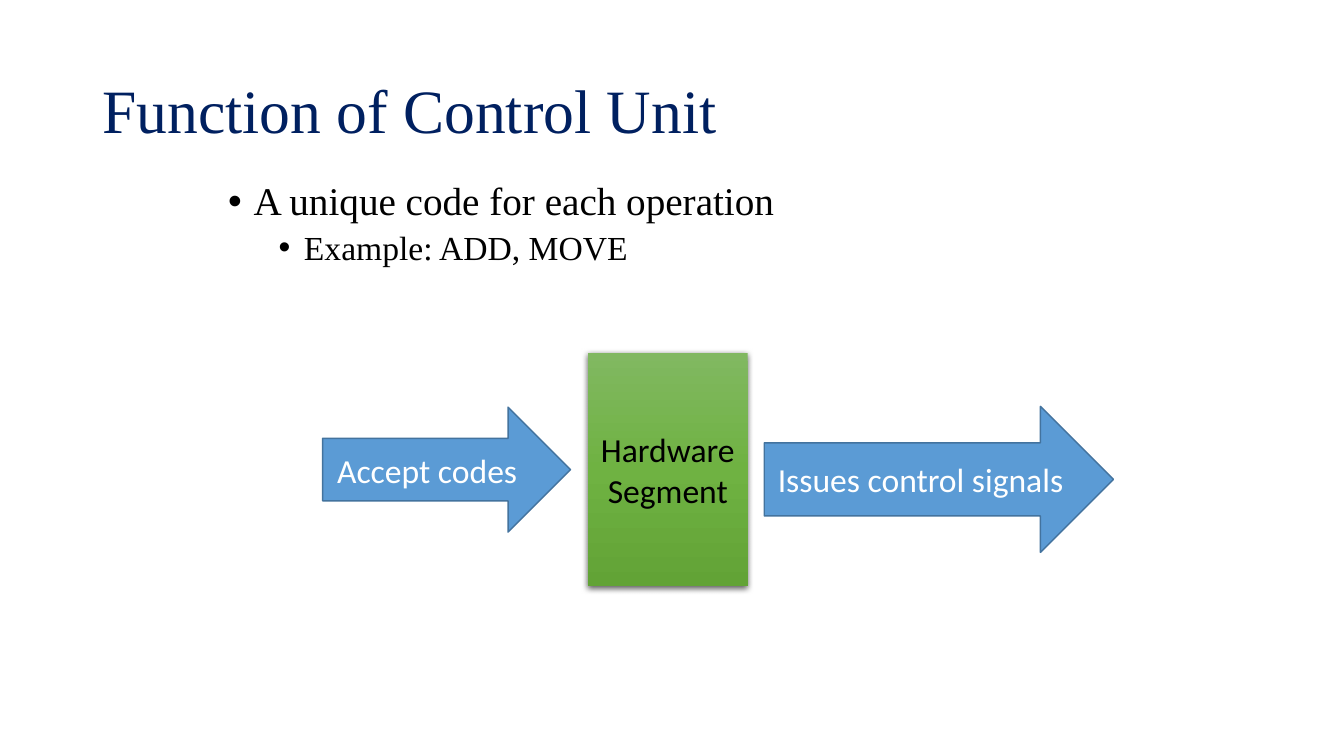
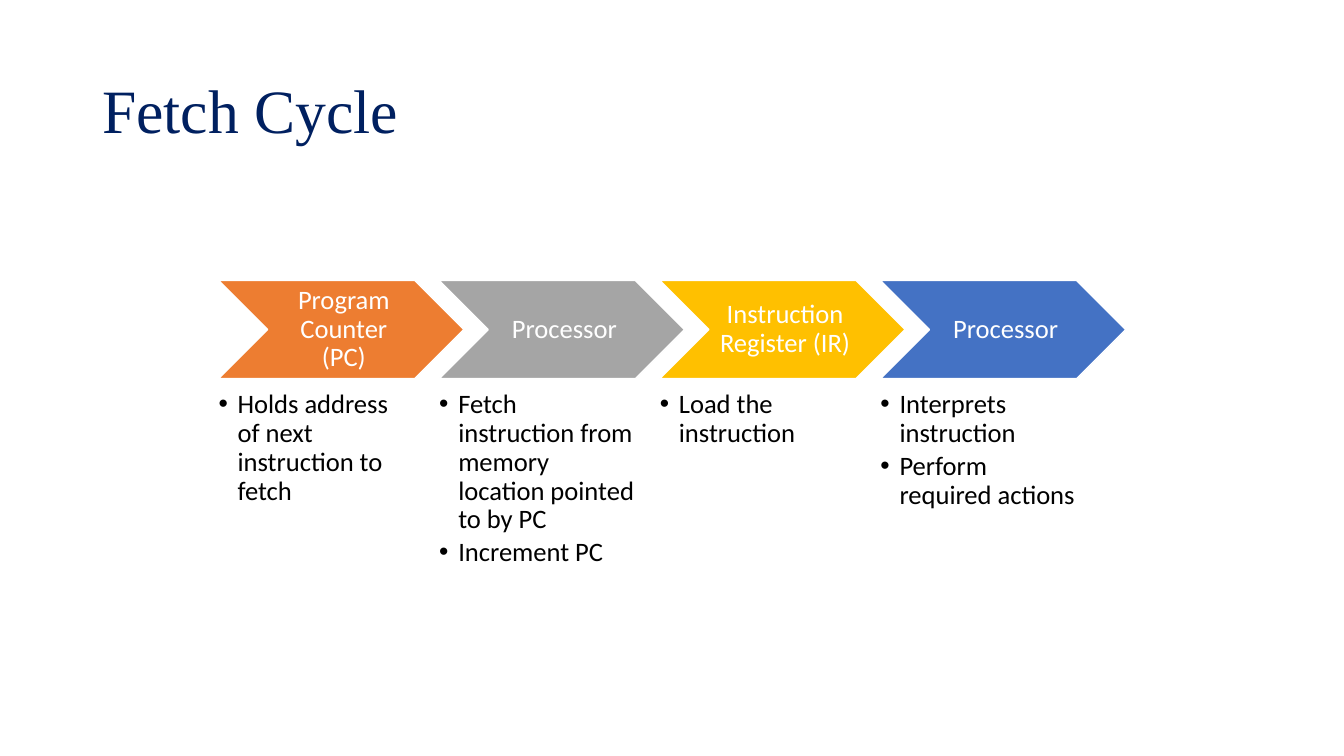
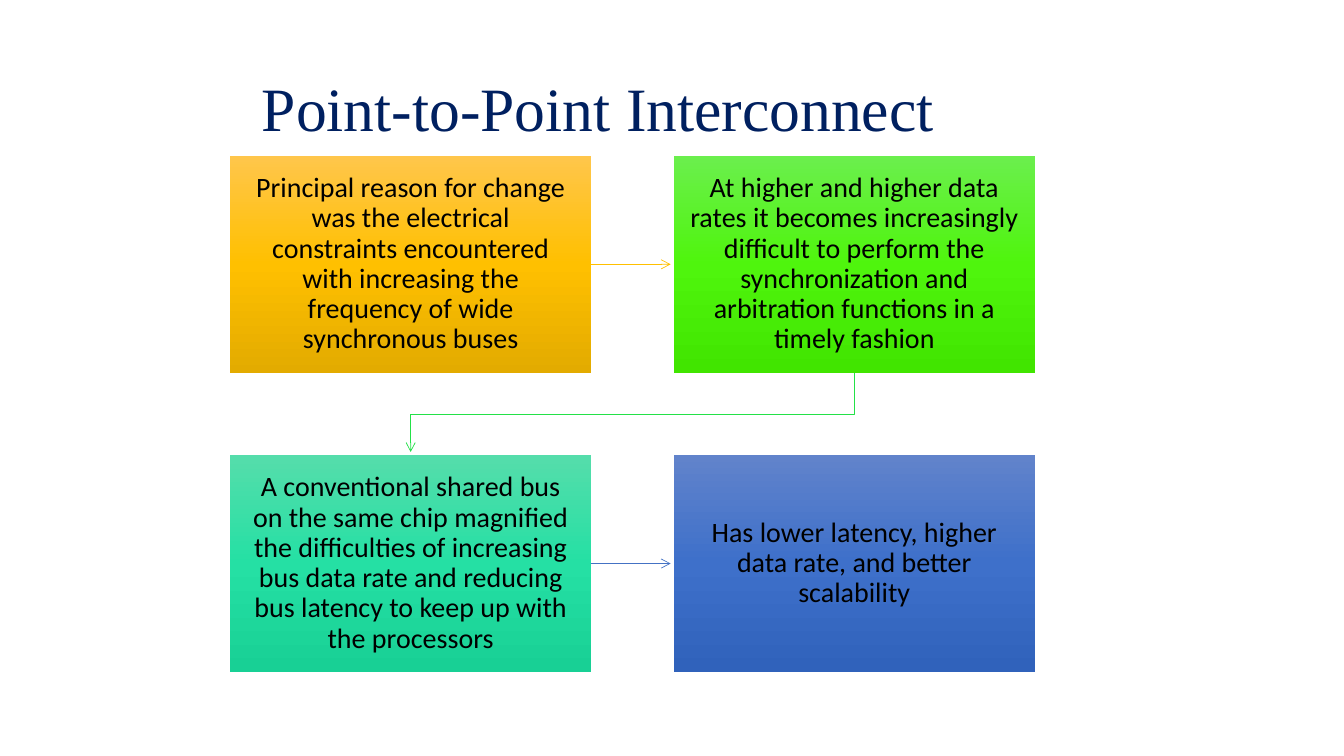
from copy import deepcopy
from dataclasses import dataclass
from typing import NamedTuple

from lxml.etree import SubElement
from pptx import Presentation
from pptx.dml.color import RGBColor
from pptx.enum.shapes import MSO_CONNECTOR as CONN, MSO_SHAPE as SHAPE
from pptx.enum.text import MSO_ANCHOR as ANCHOR, MSO_AUTO_SIZE as AUTO, PP_ALIGN as ALIGN
from pptx.oxml.ns import qn
from pptx.util import Cm, Pt


@dataclass(frozen=True)
class Theme:
    serif: str = "Times New Roman"
    sans: str = "Calibri"
    navy: str = "002060"
    black: str = "000000"
    white: str = "FFFFFF"
    arrow: str = "5B9BD5"
    arrow_edge: str = "43739E"
    green: tuple = ("81B861", "6FB242", "62A336")
    title: float = 44
    body: float = 28
    label: float = 24
    reason: float = 20
    step: float = 19
    tight: float = 0.9


class Box(NamedTuple):
    x: float
    y: float
    w: float
    h: float


class Step(NamedTuple):
    name: str
    color: str
    details: tuple


class Reason(NamedTuple):
    text: str
    stops: tuple


T = Theme()
TITLE_BOX = Box(2.33, 1.01, 29.21, 3.68)

STEPS = (
    Step("Program Counter (PC)", "ED7D31", ("Holds address of next instruction to fetch",)),
    Step("Processor", "A5A5A5",
         ("Fetch instruction from memory location pointed to by PC", "Increment PC")),
    Step("Instruction Register (IR)", "FFC000", ("Load the instruction",)),
    Step("Processor", "4472C4", ("Interprets instruction", "Perform required actions")),
)

REASONS = (
    Reason("Principal reason for change was the electrical constraints encountered "
           "with increasing the frequency of wide synchronous buses",
           ("FFC64B", "FFC000", "E3AB00")),
    Reason("At higher and higher data rates it becomes increasingly difficult to perform "
           "the synchronization and arbitration functions in a timely fashion",
           ("6BEF4D", "4FF50D", "41E500")),
    Reason("A conventional shared bus on the same chip magnified the difficulties of "
           "increasing bus data rate and reducing bus latency to keep up with the processors",
           ("55DDAB", "25E0A4", "18D095")),
    Reason("Has lower latency, higher data rate, and better scalability",
           ("6183CB", "3E70CA", "3062BB")),
)


def rgb(color: str) -> RGBColor:
    return RGBColor.from_string(color)


def cm(box: Box) -> tuple:
    return tuple(Cm(v) for v in box)


def write(tf, text: str, *, size: float, font: str = T.sans, color: str = T.black,
          align=ALIGN.LEFT, spacing: float = 1.0, before: float = 0, after: float = 0,
          level: int = 0, left: float = 0, hang: float = 0) -> None:
    p = tf.add_paragraph() if tf.text else tf.paragraphs[0]
    p.level = level
    if hang:
        pPr = p._p.get_or_add_pPr()
        pPr.set("marL", str(Cm(left)))
        pPr.set("indent", str(-Cm(hang)))
        SubElement(pPr, qn("a:buFont")).set("typeface", "Arial")
        SubElement(pPr, qn("a:buChar")).set("char", "•")
    p.alignment = align
    p.line_spacing = spacing
    p.space_before, p.space_after = Pt(before), Pt(after)
    r = p.add_run()
    r.text = text
    r.font.name, r.font.size = font, Pt(size)
    r.font.color.rgb = rgb(color)


def frame(sp, anchor, insets: tuple = (0.25, 0.13, 0.25, 0.13)):
    tf = sp.text_frame
    tf.word_wrap = True
    tf.auto_size = AUTO.NONE
    tf.vertical_anchor = anchor
    tf.margin_left, tf.margin_top, tf.margin_right, tf.margin_bottom = map(Cm, insets)
    return tf


def place(sp, box: Box) -> None:
    sp.left, sp.top, sp.width, sp.height = cm(box)


def titled_slide(prs, text: str, layout: int = 5, box: Box = TITLE_BOX):
    s = prs.slides.add_slide(prs.slide_layouts[layout])
    place(s.shapes.title, box)
    write(frame(s.shapes.title, ANCHOR.MIDDLE), text, size=T.title, font=T.serif,
          color=T.navy, spacing=T.tight)
    return s


def add_block(s, kind, box: Box, fill, line: str | None = None):
    sp = s.shapes.add_shape(kind, *cm(box))
    sp.shadow.inherit = False
    if isinstance(fill, tuple):
        sp.fill.gradient()
        sp.fill.gradient_angle = 270
        stops = sp._element.spPr.find(".//" + qn("a:gsLst"))
        stops.insert(1, deepcopy(stops[0]))
        for i, (stop, color) in enumerate(zip(sp.fill.gradient_stops, fill)):
            stop.position = i / 2
            stop.color.rgb = rgb(color)
    else:
        sp.fill.solid()
        sp.fill.fore_color.rgb = rgb(fill)
    if line:
        sp.line.color.rgb = rgb(line)
        sp.line.width = Pt(1)
    else:
        sp.line.fill.background()
    return sp


def drop_shadow(sp) -> None:
    effects = sp._element.spPr.find(qn("a:effectLst"))
    shadow = SubElement(effects, qn("a:outerShdw"), blurRad=str(Pt(4.5)), dist=str(Pt(1.5)),
                        dir="5400000", algn="ctr", rotWithShape="0")
    color = SubElement(shadow, qn("a:srgbClr"), val=T.black)
    SubElement(color, qn("a:alpha"), val="63000")


def arrow_line(sp, color: str) -> None:
    sp.line.color.rgb = rgb(color)
    sp.line.width = Pt(0.5)
    spPr = sp._element.spPr
    SubElement(spPr.find(qn("a:ln")), qn("a:tailEnd")).set("type", "arrow")
    if spPr.find(qn("a:effectLst")) is None:
        SubElement(spPr, qn("a:effectLst"))


def control_unit(prs) -> None:
    s = titled_slide(prs, "Function of Control Unit", layout=1)
    body = s.placeholders[1]
    place(body, Box(5.5, 4.45, 22.86, 3.39))
    tf = frame(body, ANCHOR.TOP)
    write(tf, "A unique code for each operation", size=T.body, font=T.serif,
          spacing=T.tight, left=0.64, hang=0.64)
    write(tf, "Example: ADD, MOVE", size=T.label, font=T.serif, spacing=T.tight,
          before=5, level=1, left=1.91, hang=0.64)

    hardware = add_block(s, SHAPE.RECTANGLE, Box(14.82, 8.89, 4.02, 5.89), T.green)
    drop_shadow(hardware)
    write(frame(hardware, ANCHOR.MIDDLE), "Hardware Segment", size=T.label, align=ALIGN.CENTER)
    for text, box in (("Issues control signals", Box(19.26, 10.24, 8.8, 3.68)),
                      ("Accept codes ", Box(8.13, 10.26, 6.25, 3.15))):
        sp = add_block(s, SHAPE.RIGHT_ARROW, box, T.arrow, T.arrow_edge)
        write(frame(sp, ANCHOR.MIDDLE), text, size=T.label, color=T.white, align=ALIGN.CENTER)


def fetch_cycle(prs) -> None:
    s = titled_slide(prs, "Fetch Cycle")
    for i, step in enumerate(STEPS):
        x = 5.51 + 5.56 * i
        sp = add_block(s, SHAPE.CHEVRON, Box(x, 7.07, 6.18, 2.47), step.color, T.white)
        write(frame(sp, ANCHOR.MIDDLE, (0.2, 0.07, 0.07, 0.07)), step.name, size=T.step,
              color=T.white, align=ALIGN.CENTER, spacing=T.tight)
        details = s.shapes.add_textbox(*cm(Box(x, 9.85, 4.93, 4.55)))
        tf = frame(details, ANCHOR.TOP, (0, 0, 0, 0))
        for text in step.details:
            write(tf, text, size=T.step, spacing=T.tight, after=3, left=0.48, hang=0.48)


def interconnect(prs) -> None:
    s = titled_slide(prs, "Point-to-Point Interconnect", box=Box(6.35, 1.27, 20.98, 3.1))
    x, y, w, h = 5.8, 3.93, 9.1, 5.46
    dx, dy, tip_gap = 11.18, 7.54, 0.08
    boxes = []
    for i, reason in enumerate(REASONS):
        row, col = divmod(i, 2)
        sp = add_block(s, SHAPE.RECTANGLE, Box(x + col * dx, y + row * dy, w, h), reason.stops)
        write(frame(sp, ANCHOR.MIDDLE, (0.41,) * 4), reason.text, size=T.reason,
              align=ALIGN.CENTER, spacing=T.tight)
        boxes.append(sp)

    for row, color in enumerate(("FFC000", "4472C4")):
        mid = Cm(y + row * dy + h / 2)
        link = s.shapes.add_connector(CONN.STRAIGHT, Cm(x + w), mid, Cm(x + dx - tip_gap), mid)
        link.begin_connect(boxes[2 * row], 3)
        arrow_line(link, color)

    left, right = Cm(x + w / 2), Cm(x + dx + w / 2)
    turn = Cm(y + (h + dy) / 2)
    path = s.shapes.build_freeform(right, Cm(y + h))
    path.add_line_segments([(right, turn), (left, turn), (left, Cm(y + dy - tip_gap))],
                           close=False)
    bend = path.convert_to_shape()
    bend.shadow.inherit = False
    bend.fill.background()
    arrow_line(bend, "23E148")


def main() -> None:
    prs = Presentation()
    prs.slide_width, prs.slide_height = Cm(33.87), Cm(19.05)
    for build in (control_unit, fetch_cycle, interconnect):
        build(prs)
    prs.save("out.pptx")


if __name__ == "__main__":
    main()
